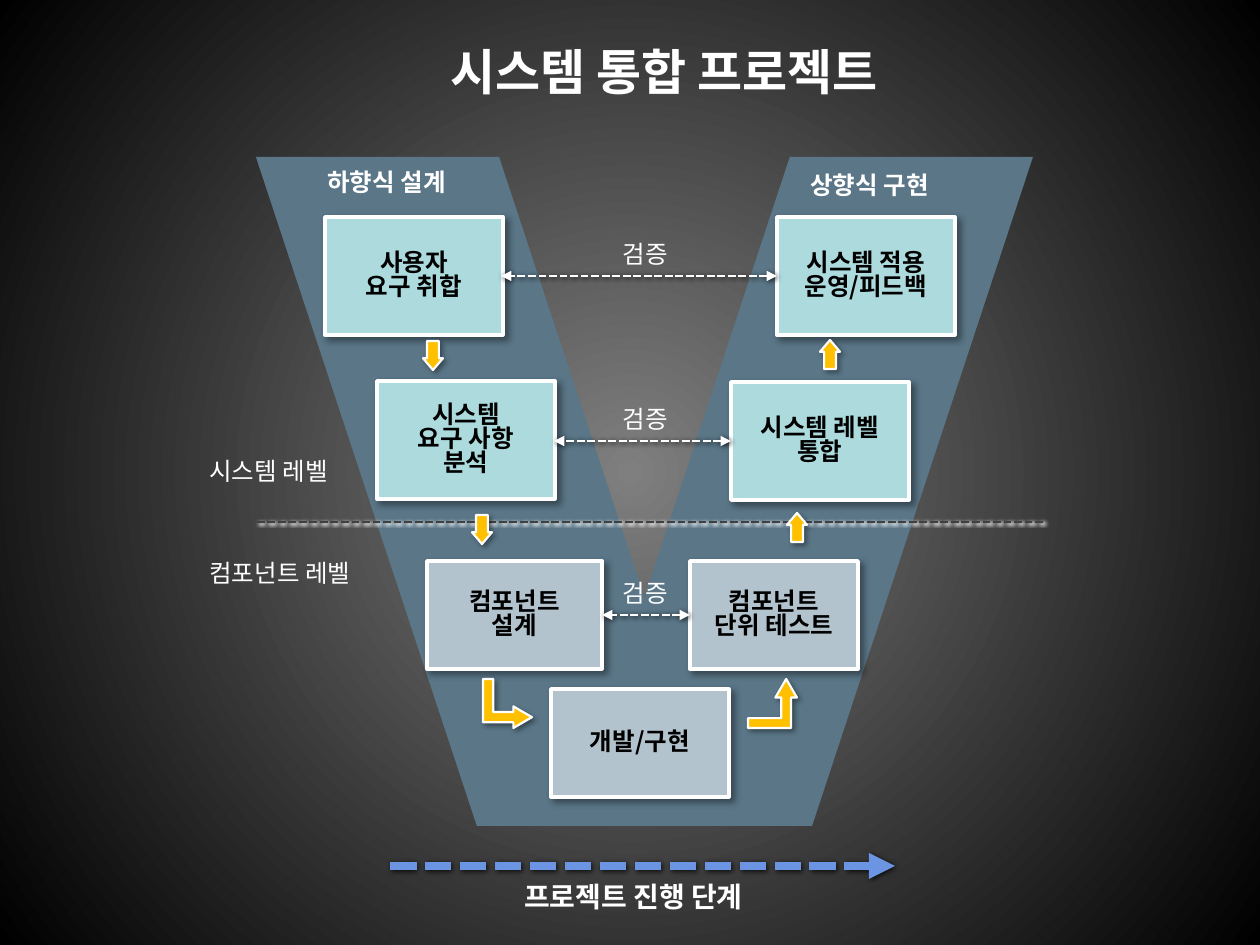
from lxml import etree
from pptx import Presentation
from pptx.dml.color import RGBColor
from pptx.enum.dml import MSO_LINE
from pptx.enum.shapes import MSO_CONNECTOR, MSO_SHAPE
from pptx.enum.text import MSO_ANCHOR, MSO_AUTO_SIZE, PP_ALIGN
from pptx.oxml.ns import qn
from pptx.util import Emu, Pt

SCALE = 914400 / 126
LEFT, CENTER = PP_ALIGN.LEFT, PP_ALIGN.CENTER
MIDDLE, TOP = MSO_ANCHOR.MIDDLE, MSO_ANCHOR.TOP
DASHED = MSO_LINE.SQUARE_DOT
RECTANGLE, DOWN = MSO_SHAPE.RECTANGLE, MSO_SHAPE.DOWN_ARROW
BENT, SLANT = MSO_SHAPE.BENT_UP_ARROW, MSO_SHAPE.PARALLELOGRAM
HANGUL, LATIN = "Noto Sans CJK KR", "Roboto"
COLORS = {
    "glow": "7F7F7F", "black": "000000", "white": "FFFFFF", "leg": "5A7687",
    "system": "ACDADD", "component": "B3C3CD", "arrow": "FFC000",
    "divider": "404040", "progress": "6B94E2",
}
# Shadows: colour, opacity %, blur and distance in points
BOX_SHADOW = ("black", 40, 4, 3)
ARROW_SHADOW = ("black", 40, 3, 2)
LINE_SHADOW = ("black", 75, 3, 1)
GLOW_SHADOW = ("white", 100, 2, 1)


def px(length):
    return Emu(round(length * SCALE))


def rgb(name):
    return RGBColor.from_string(COLORS[name])


def inside(box, x, y, width, height):
    """EMU bounds of a part whose px place is relative to a box."""
    return [px(v) for v in (box[0] + x, box[1] + y, width, height)]


def add_shadow(properties, color, opacity, blur, distance):
    """Cast a shadow to the lower right, at 45 degrees."""
    effects = properties.find(qn("a:effectLst"))
    if effects is None:
        effects = etree.SubElement(properties, qn("a:effectLst"))
    outer = etree.SubElement(effects, qn("a:outerShdw"), blurRad=str(Pt(blur)),
                             dist=str(Pt(distance)), dir="2700000",
                             algn="tl", rotWithShape="0")
    tint = etree.SubElement(outer, qn("a:srgbClr"), val=COLORS[color])
    etree.SubElement(tint, qn("a:alpha"), val=str(opacity * 1000))


def write(shape, text, size=14, font=LATIN, color="white", bold=False,
          align=LEFT, anchor=TOP, spacing=None, grow=True):
    frame = shape.text_frame
    frame.word_wrap = True
    frame.vertical_anchor = anchor
    frame.auto_size = MSO_AUTO_SIZE.SHAPE_TO_FIT_TEXT if grow else MSO_AUTO_SIZE.NONE
    para = frame.paragraphs[0]
    para.text = text
    para.alignment = align
    para.line_spacing = spacing
    for span in para.runs:
        span.font.size, span.font.bold, span.font.name = Pt(size), bold, font
        span.font.color.rgb = rgb(color)
        east_asian = etree.SubElement(span.font._element, qn("a:ea"))
        east_asian.set("typeface", HANGUL)


def add_label(page, bounds, text, **style):
    write(page.shapes.add_textbox(*bounds), text, **style)


def add_filled(shapes, kind, bounds, fill, outline=None, shadow=None, adjust=()):
    shape = shapes.add_shape(kind, *bounds)
    shape.fill.solid()
    shape.fill.fore_color.rgb = rgb(fill)
    if outline:
        shape.line.color.rgb = rgb("white")
        shape.line.width = Pt(outline)
    else:
        shape.line.fill.background()
    shape.shadow.inherit = False
    if shadow:
        add_shadow(shape._element.spPr, *shadow)
    for index, value in enumerate(adjust):
        shape.adjustments[index] = value
    return shape


def add_dashes(page, start, end, color, width, shadow, heads=()):
    points = [px(v) for v in (*start, *end)]
    line = page.shapes.add_connector(MSO_CONNECTOR.STRAIGHT, *points)
    line.line.color.rgb = rgb(color)
    line.line.width = Pt(width)
    line.line.dash_style = DASHED
    properties = line._element.spPr
    for head in heads:
        etree.SubElement(properties.find(qn("a:ln")), qn(head), type="triangle")
    add_shadow(properties, *shadow)


def paint_background(page):
    fill = page.background.fill
    fill.gradient()
    for stop, color in zip(fill.gradient_stops, ("glow", "black")):
        stop.color.rgb = rgb(color)
    gradient = page.element.find(".//" + qn("a:gradFill"))
    gradient.remove(gradient.find(qn("a:lin")))
    radial = etree.SubElement(gradient, qn("a:path"))
    radial.set("path", "circle")
    etree.SubElement(radial, qn("a:fillToRect"),
                     **dict.fromkeys("ltrb", "50000"))


def draw_title(page, box):
    title = page.shapes.title
    title.left, title.top, title.width, title.height = inside(box, 0, 0, *box[2:])
    write(title, "시스템 통합 프로젝트", size=28, font=HANGUL, bold=True, align=CENTER)


def draw_legs(page, box):
    """The two slanted legs of the V, with their headings."""
    width, height = 464, box[3]
    group = page.shapes.add_group_shape()
    for x, flipped in ((box[2] - width, False), (0, True)):
        leg = add_filled(group.shapes, SLANT, inside(box, x, 0, width, height),
                         "leg", adjust=(0.476,))
        if flipped:
            leg._element.spPr.find(qn("a:xfrm")).set("flipH", "1")
    for x, y, text in ((59, 4, "하향식 설계"), (542, 7, "상향식 구현")):
        add_label(page, inside(box, x, y, 197, 43), text, bold=True)


def draw_levels(page, box):
    add_dashes(page, (box[0] + 787, box[1] + 365), (box[0], box[1] + 365),
               "divider", 1.5, GLOW_SHADOW)
    for y, text in ((293, "시스템 레벨"), (395, "컴포넌트 레벨")):
        add_label(page, inside(box, -59, y, 217, 43), text)


def draw_steps(page, box):
    heights = {"system": 118, "component": 108}
    steps = (
        (69, 60, 178, "system", "사용자\n요구 취합"),
        (121, 224, 178, "system", "시스템\n요구 사항\n분석"),
        (171, 404, 175, "component", "컴포넌트\n설계"),
        (521, 60, 178, "system", "시스템 적용\n운영/피드백"),
        (475, 225, 178, "system", "시스템 레벨\n통합"),
        (434, 404, 168, "component", "컴포넌트\n단위 테스트"),
        (295, 532, 178, "component", "개발/구현"),
    )
    for x, y, width, level, text in steps:
        step = add_filled(page.shapes, RECTANGLE,
                          inside(box, x, y, width, heights[level]),
                          level, 2, BOX_SHADOW)
        write(step, text, font=HANGUL, color="black", bold=True, align=CENTER,
              anchor=MIDDLE, spacing=0.82, grow=False)


def draw_flow(page, box):
    """Block arrows that lead down the left leg and up the right one."""
    straight, bent = (20, 29), (49, 49)
    arrows = (
        (DOWN, 167, 184, straight, 0, (0.59, 0.59)),
        (DOWN, 216, 358, straight, 0, (0.59, 0.59)),
        (BENT, 227, 522, bent, 90, (0.21, 0.22, 0.38)),
        (BENT, 492, 522, bent, 0, (0.2, 0.22, 0.38)),
        (DOWN, 531, 356, straight, 180, (0.59, 0.59)),
        (DOWN, 564, 183, straight, 180, (0.59, 0.59)),
    )
    for kind, x, y, size, turn, adjust in arrows:
        arrow = add_filled(page.shapes, kind, inside(box, x, y, *size),
                           "arrow", 1.25, ARROW_SHADOW, adjust)
        arrow.rotation = turn


def draw_checks(page, box):
    """Two-way links between the steps of one row."""
    for left, right, y in ((245, 521, 119), (298, 475, 284), (346, 434, 458)):
        add_dashes(page, (box[0] + right, box[1] + y), (box[0] + left, box[1] + y),
                   "white", 1.5, LINE_SHADOW, ("a:headEnd", "a:tailEnd"))
        add_label(page, inside(box, 325, y - 43, 129, 43), "검증", align=CENTER)


def draw_progress(page, box):
    left, top, width, height = box
    add_dashes(page, (left + width, top), (left, top), "progress", 5,
               LINE_SHADOW, ("a:headEnd",))
    add_label(page, inside(box, 128, 7, 315, height), "프로젝트 진행 단계",
              size=16, bold=True)


def main():
    deck = Presentation()
    deck.slide_width, deck.slide_height = px(1260), px(945)
    page = deck.slides.add_slide(deck.slide_layouts[5])
    paint_background(page)
    draw_title(page, (305, 35, 718, 72))
    model = (256, 157, 777, 669)
    for draw in (draw_legs, draw_levels, draw_steps, draw_flow, draw_checks):
        draw(page, model)
    draw_progress(page, (384, 866, 511, 47))
    deck.save("out.pptx")


if __name__ == "__main__":
    main()
